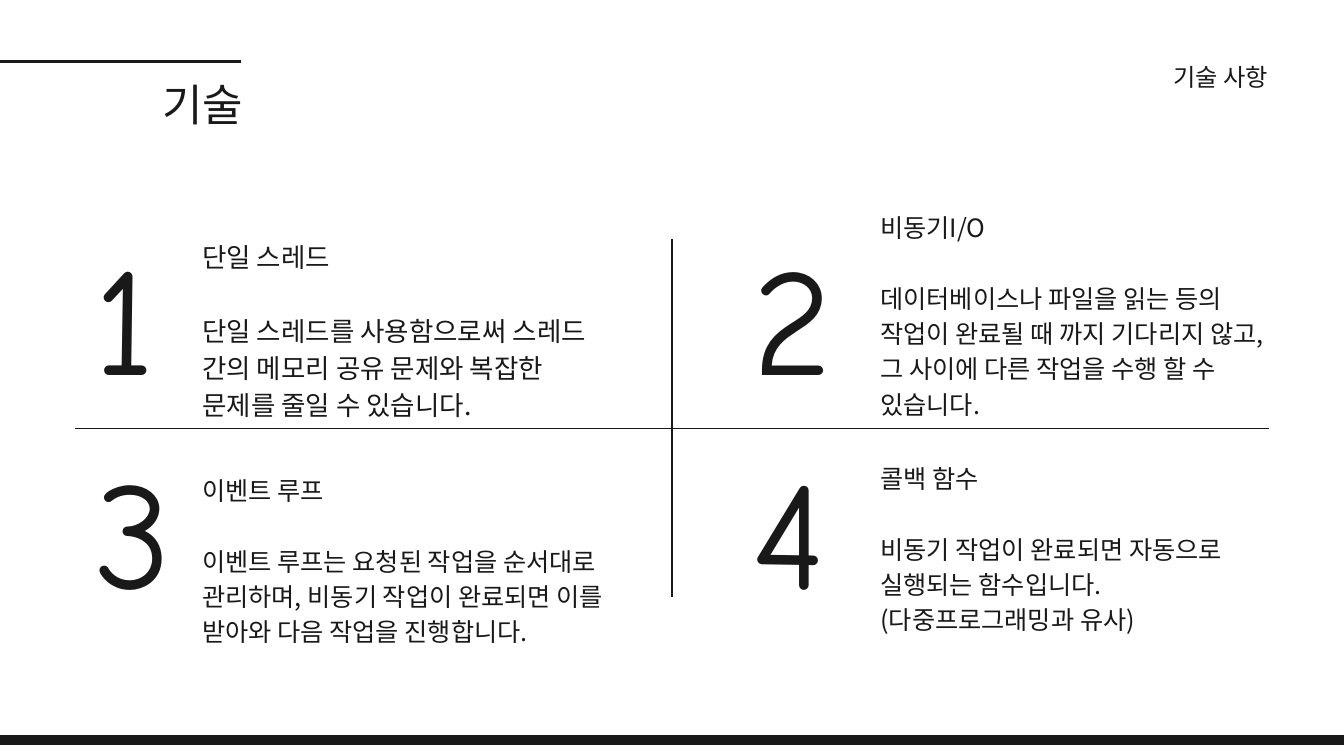
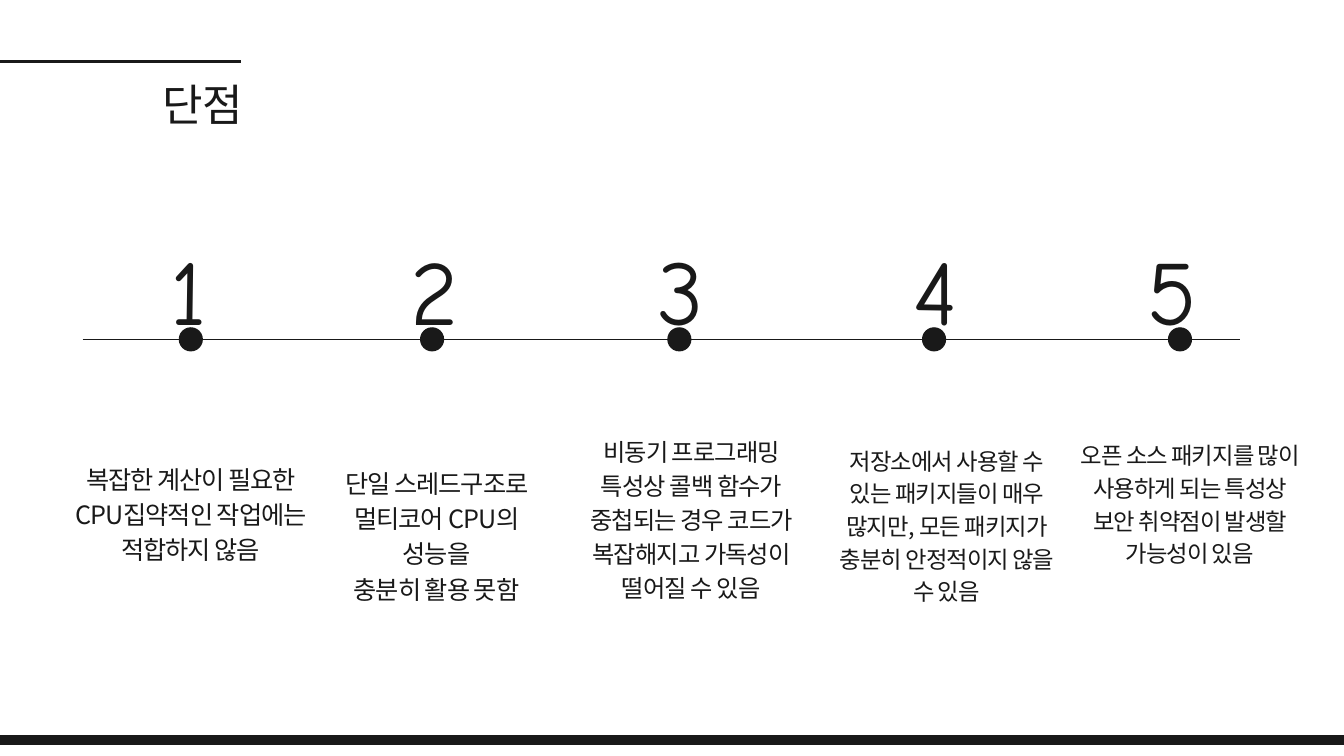
from dataclasses import dataclass

from pptx import Presentation
from pptx.dml.color import RGBColor
from pptx.enum.shapes import MSO_CONNECTOR, MSO_SHAPE
from pptx.enum.text import MSO_AUTO_SIZE, PP_ALIGN
from pptx.oxml.ns import qn
from pptx.slide import Slide
from pptx.util import Inches, Pt
from lxml.etree import SubElement

COLORS = {"ink": "191919", "paper": "FFFFFF"}
TEXT_FONT = "Noto Sans CJK KR"
NUMBER_FONT = "Comic Neue"
SLIDE_WIDTH, SLIDE_HEIGHT = 20, 11.25
AXIS_TOP = 5.05
DOT_SIZE = 0.36


@dataclass(frozen=True)
class TextStyle:
    size: float
    leading: float
    align: PP_ALIGN = PP_ALIGN.LEFT
    tracking: float = 0
    font: str = TEXT_FONT


@dataclass(frozen=True)
class Frame:
    left: float
    top: float
    width: float
    height: float


@dataclass(frozen=True)
class Topic:
    number: str
    number_left: float
    number_top: float
    frame: Frame
    style: TextStyle
    heading: str
    body: tuple[str, ...]


@dataclass(frozen=True)
class Milestone:
    number: str
    center: float
    number_left: float
    text_left: float
    text_top: float
    text_height: float
    style: TextStyle
    lines: tuple[str, ...]


TITLE = TextStyle(47.1, 65.9, PP_ALIGN.RIGHT, -0.7)
SECTION = TextStyle(26, 36.4, PP_ALIGN.RIGHT)
BIG_NUMBER = TextStyle(163.6, 229, font=NUMBER_FONT)
SMALL_NUMBER = TextStyle(98.3, 137.7, font=NUMBER_FONT)
TOPIC_LARGE = TextStyle(28.4, 39.8)
TOPIC_TEXT = TextStyle(27, 37.8)
NOTE_LARGE = TextStyle(27, 37.8, PP_ALIGN.CENTER, -1.1)
NOTE_MEDIUM = TextStyle(26, 36.4, PP_ALIGN.CENTER, -1)
NOTE_SMALL = TextStyle(25, 35, PP_ALIGN.CENTER, -1)

LEFT_NUMBER, RIGHT_NUMBER = 1.4, 11.2
UPPER_NUMBER, LOWER_NUMBER = 2.86, 6.04

TOPICS = (
    Topic("1", LEFT_NUMBER, UPPER_NUMBER, Frame(3.01, 3.5, 6.07, 2.74), TOPIC_LARGE, "단일 스레드",
          ("단일 스레드를 사용함으로써 스레드 간의 메모리 공유 문제와 복잡한 문제를 줄일 수 있습니다.",)),
    Topic("2", RIGHT_NUMBER, UPPER_NUMBER, Frame(13.1, 3.09, 5.77, 3.14), TOPIC_TEXT, "비동기I/O",
          ("데이터베이스나 파일을 읽는 등의 작업이 완료될 때 까지 기다리지 않고, "
           "그 사이에 다른 작업을 수행 할 수 있습니다.",)),
    Topic("3", LEFT_NUMBER, LOWER_NUMBER, Frame(3.01, 7, 6.07, 2.61), TOPIC_TEXT, "이벤트 루프",
          ("이벤트 루프는 요청된 작업을 순서대로 관리하며, 비동기 작업이 완료되면 "
           "이를 받아와 다음 작업을 진행합니다.",)),
    Topic("4", RIGHT_NUMBER, LOWER_NUMBER, Frame(13.1, 6.82, 5.77, 2.61), TOPIC_TEXT, "콜백 함수",
          ("비동기 작업이 완료되면 자동으로", "실행되는 함수입니다.", "(다중프로그래밍과 유사)")),
)

MILESTONES = (
    Milestone("1", 2.84, 2.53, 1.12, 6.83, 1.56, NOTE_LARGE,
              ("복잡한 계산이 필요한 CPU집약적인 작업에는 적합하지 않음",)),
    Milestone("2", 6.43, 6.11, 4.78, 6.89, 1.56, NOTE_LARGE,
              ("단일 스레드구조로 멀티코어 CPU의 성능을", "충분히 활용 못함")),
    Milestone("3", 10.11, 9.79, 8.57, 6.43, 2.02, NOTE_MEDIUM,
              ("비동기 프로그래밍 특성상 콜백 함수가 중첩되는 경우 코드가 복잡해지고 가독성이 떨어질 수 있음",)),
    Milestone("4", 13.9, 13.59, 12.37, 6.58, 1.9, NOTE_SMALL,
              ("저장소에서 사용할 수 있는 패키지들이 매우 많지만, 모든 패키지가 충분히 안정적이지 않을 수 있음",)),
    Milestone("5", 17.56, 17.07, 15.99, 6.5, 1.9, NOTE_SMALL,
              ("오픈 소스 패키지를 많이 사용하게 되는 특성상 보안 취약점이 발생할 가능성이 있음",)),
)


def color(name: str) -> RGBColor:
    return RGBColor.from_string(COLORS[name])


def place(frame: Frame) -> tuple:
    return tuple(Inches(value) for value in (frame.left, frame.top, frame.width, frame.height))


def add_text(page: Slide, frame: Frame, lines: tuple[str, ...], style: TextStyle,
             heading: str = "") -> None:
    box = page.shapes.add_textbox(*place(frame)).text_frame
    box_format = {"word_wrap": True, "auto_size": MSO_AUTO_SIZE.SHAPE_TO_FIT_TEXT,
                  "margin_left": 0, "margin_top": 0, "margin_right": 0, "margin_bottom": 0}
    for name, value in box_format.items():
        setattr(box, name, value)
    paragraphs = (heading, *lines) if heading else lines
    for index, text in enumerate(paragraphs):
        para = box.add_paragraph() if index else box.paragraphs[0]
        para.alignment = style.align
        para.line_spacing = Pt(style.leading)
        if heading and index == 1:
            para.space_before = Pt(style.leading)
        span = para.add_run()
        span.text = text
        for name, value in {"size": Pt(style.size), "name": style.font}.items():
            setattr(span.font, name, value)
        span.font.color.rgb = color("ink")
        properties = span.font._element
        if style.tracking:
            properties.set("spc", str(round(style.tracking * 100)))
        for script in ("a:ea", "a:cs"):
            SubElement(properties, qn(script)).set("typeface", style.font)


def add_line(page: Slide, start: tuple[float, float], end: tuple[float, float],
             weight: float = 1.5) -> None:
    ends = (Inches(value) for value in (*start, *end))
    line = page.shapes.add_connector(MSO_CONNECTOR.STRAIGHT, *ends)
    line.line.color.rgb = color("ink")
    line.line.width = Pt(weight)
    SubElement(line._element.spPr, qn("a:effectLst"))


def add_solid(page: Slide, kind: MSO_SHAPE, frame: Frame, outline: float = 0) -> None:
    shape = page.shapes.add_shape(kind, *place(frame))
    shape.shadow.inherit = False
    shape.fill.solid()
    shape.fill.fore_color.rgb = color("ink")
    if outline:
        shape.line.color.rgb = color("ink")
        shape.line.width = Pt(outline)
    else:
        shape.line.fill.background()


def add_page(deck: Presentation, title: str) -> Slide:
    page = deck.slides.add_slide(deck.slide_layouts[6])
    page.background.fill.solid()
    page.background.fill.fore_color.rgb = color("paper")
    add_solid(page, MSO_SHAPE.RECTANGLE, Frame(-0.32, 10.95, SLIDE_WIDTH + 0.64, 0.13), 1.5)
    add_line(page, (0, 0.91), (3.58, 0.91), 3)
    add_text(page, Frame(1.23, 1.03, 2.39, 0.87), (title,), TITLE)
    return page


def add_topic(page: Slide, topic: Topic) -> None:
    number_frame = Frame(topic.number_left, topic.number_top, 1.65, 3.04)
    add_text(page, number_frame, (topic.number,), BIG_NUMBER)
    add_text(page, topic.frame, topic.body, topic.style, topic.heading)


def add_milestone(page: Slide, milestone: Milestone) -> None:
    radius = DOT_SIZE / 2
    dot = Frame(milestone.center - radius, AXIS_TOP - radius, DOT_SIZE, DOT_SIZE)
    add_solid(page, MSO_SHAPE.OVAL, dot)
    add_text(page, Frame(milestone.number_left, 3.21, 0.99, 1.83), (milestone.number,), SMALL_NUMBER)
    note = Frame(milestone.text_left, milestone.text_top, 3.43, milestone.text_height)
    add_text(page, note, milestone.lines, milestone.style)


def build_technology(deck: Presentation) -> None:
    page = add_page(deck, "기술")
    add_text(page, Frame(14.63, 0.85, 4.24, 0.49), ("기술 사항",), SECTION)
    for topic in TOPICS:
        add_topic(page, topic)
    add_line(page, (1.12, 6.38), (18.88, 6.38))
    add_line(page, (10, 8.88), (10, 3.56))


def build_drawbacks(deck: Presentation) -> None:
    page = add_page(deck, "단점")
    add_line(page, (1.23, AXIS_TOP), (18.45, AXIS_TOP))
    for milestone in MILESTONES:
        add_milestone(page, milestone)


def main() -> None:
    deck = Presentation()
    deck.slide_width = Inches(SLIDE_WIDTH)
    deck.slide_height = Inches(SLIDE_HEIGHT)
    build_technology(deck)
    build_drawbacks(deck)
    deck.save("out.pptx")


if __name__ == "__main__":
    main()
